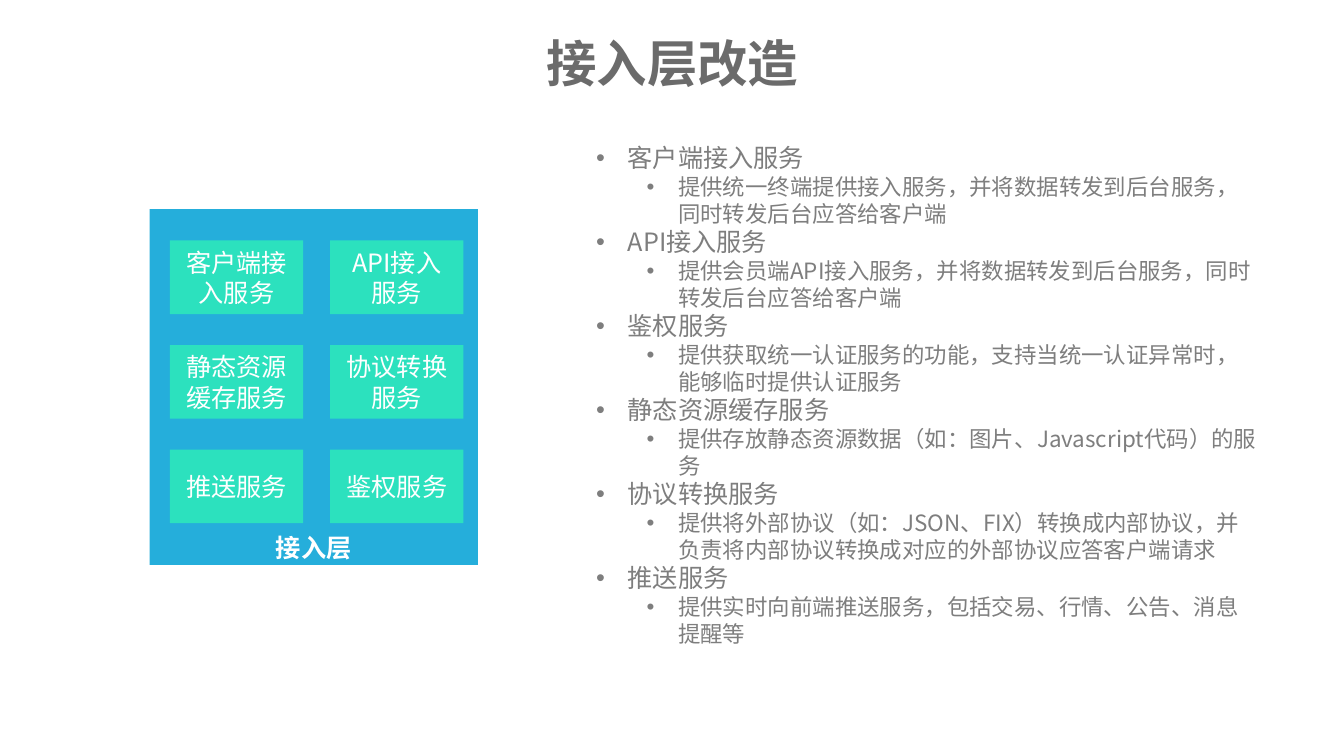
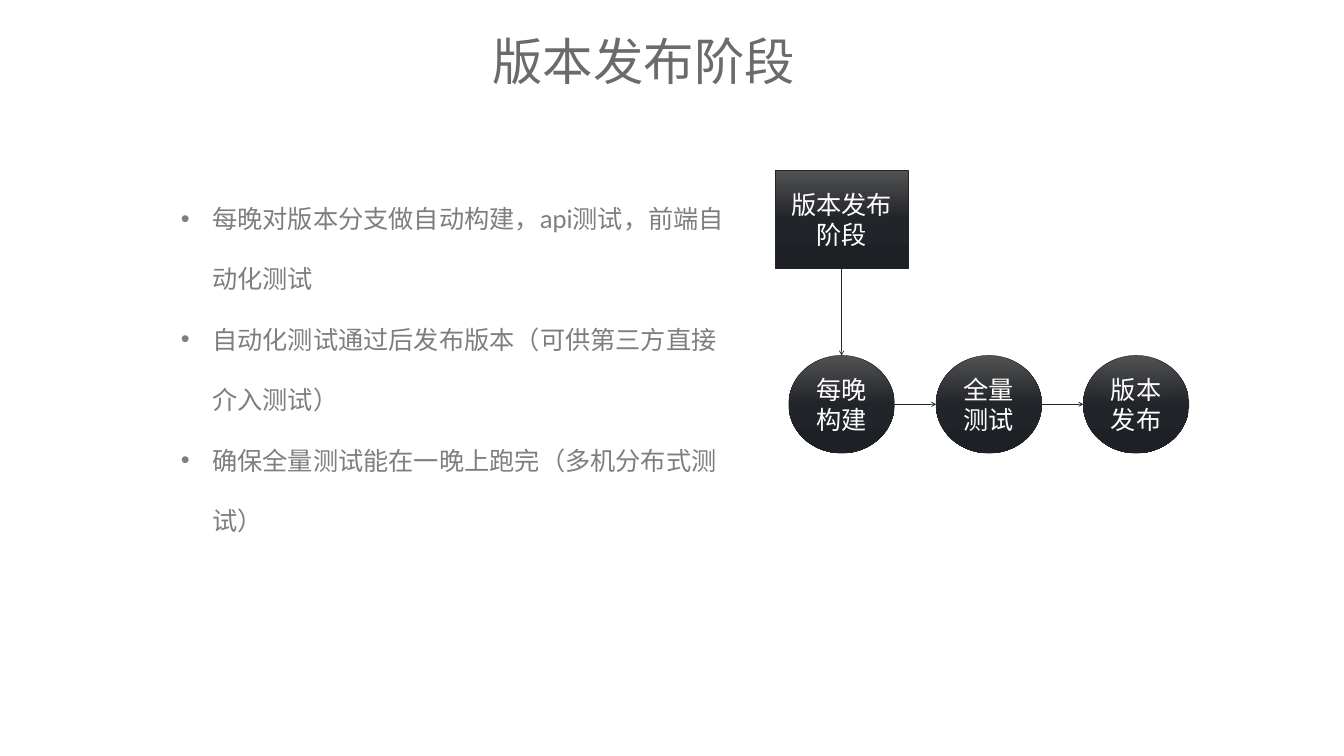
import dataclasses
import typing

import pptx
import pptx.dml.color
import pptx.enum.dml
import pptx.enum.shapes
import pptx.enum.text
import pptx.oxml.ns
import pptx.oxml.xmlchemy
import pptx.util

Cm = pptx.util.Cm
Pt = pptx.util.Pt
qn = pptx.oxml.ns.qn
new_element = pptx.oxml.xmlchemy.OxmlElement
ShapeType = pptx.enum.shapes.MSO_SHAPE
Anchor = pptx.enum.text.MSO_ANCHOR
Align = pptx.enum.text.PP_ALIGN

COLORS = {
    "title": "6B6B6B",
    "body": "7E7E7E",
    "white": "FFFFFF",
    "layer": "25AEDB",
    "service": "2CE1BE",
    "dark": "212428",
}
DARK_GRADIENT = ((0, "505152"), (50, "212428"), (100, "1D2024"))
HEADING_FONT = "Noto Sans CJK SC"
FLOW_FONT = "Lato"


@dataclasses.dataclass(frozen=True)
class Box:
    """A rectangle on the slide, in centimetres."""
    left: float
    top: float
    width: float
    height: float

    def lengths(self) -> tuple:
        return tuple(Cm(value) for value in dataclasses.astuple(self))


@dataclasses.dataclass(frozen=True)
class Line:
    """One paragraph of a bulleted list."""
    text: str
    level: int = 0
    size: int = 36


LAYER = Box(7.54, 10.54, 16.54, 17.93)
SERVICE = Box(8.56, 12.12, 6.71, 3.71)
SERVICE_PITCH = (8.08, 5.27)
SERVICES = (
    ("客户端接入服务", "API接入\n服务"),
    ("静态资源缓存服务", "协议转换服务"),
    ("推送服务", "鉴权服务"),
)
DESCRIPTIONS = (
    ("客户端接入服务", "提供统一终端提供接入服务，并将数据转发到后台服务，同时转发后台应答给客户端"),
    ("API接入服务", "提供会员端API接入服务，并将数据转发到后台服务，同时转发后台应答给客户端"),
    ("鉴权服务", "提供获取统一认证服务的功能，支持当统一认证异常时，能够临时提供认证服务"),
    ("静态资源缓存服务", "提供存放静态资源数据（如：图片、Javascript代码）的服务"),
    ("协议转换服务", "提供将外部协议（如：JSON、FIX）转换成内部协议，"
     "并负责将内部协议转换成对应的外部协议应答客户端请求"),
    ("推送服务", "提供实时向前端推送服务，包括交易、行情、公告、消息提醒等"),
)

STAGE = Box(39.04, 8.59, 6.73, 4.93)
STEP = Box(39.74, 17.91, 5.33, 4.93)
STEP_PITCH = 7.42
STEPS = ("每晚构建", "全量测试", "版本发布")
RELEASE_POINTS = (
    "每晚对版本分支做自动构建，api测试，前端自动化测试",
    "自动化测试通过后发布版本（可供第三方直接介入测试）",
    "确保全量测试能在一晚上跑完（多机分布式测试）",
)


def rgb(name: str) -> pptx.dml.color.RGBColor:
    return pptx.dml.color.RGBColor.from_string(COLORS[name])


def add_bullet(paragraph: typing.Any, level: int) -> None:
    """Give the paragraph a hanging bullet, indented by its level."""
    paragraph.level = level
    properties = paragraph._p.get_or_add_pPr()
    hanging = Cm(1.59)
    properties.set("marL", str(hanging + level * Cm(2.54)))
    properties.set("indent", str(-hanging))
    font = new_element("a:buFont")
    font.set("typeface", "Arial")
    bullet = new_element("a:buChar")
    bullet.set("char", "•")
    properties.extend((font, bullet))


def write(paragraph: typing.Any, text: str, *, size: int = 36, color: str = "white",
          font: str = HEADING_FONT, bold: bool = False,
          align: Align = Align.CENTER, line_spacing: typing.Optional[float] = None,
          bullet_level: typing.Optional[int] = None) -> None:
    paragraph.alignment = align
    if line_spacing:
        paragraph.line_spacing = line_spacing
    if bullet_level is not None:
        add_bullet(paragraph, bullet_level)
    run = paragraph.add_run()
    run.text = text
    run.font.size = Pt(size)
    run.font.bold = bold
    run.font.color.rgb = rgb(color)
    run.font.name = font
    east_asian = new_element("a:ea")
    east_asian.set("typeface", font)
    run.font._element.append(east_asian)


def paragraphs(frame: typing.Any, count: int) -> list:
    """Return the frame's first paragraph and as many new ones as needed."""
    return [frame.paragraphs[0]] + [frame.add_paragraph() for _ in range(count - 1)]


def add_title(slide: typing.Any, text: str, box: Box, bold: bool = False) -> None:
    frame = slide.shapes.add_textbox(*box.lengths()).text_frame
    frame.margin_left = frame.margin_right = frame.margin_top = frame.margin_bottom = 0
    frame.word_wrap = False
    frame.vertical_anchor = Anchor.MIDDLE
    write(frame.paragraphs[0], text, size=72, color="title", bold=bold)


def add_list(slide: typing.Any, box: Box, lines: typing.Sequence[Line],
             **text_format: typing.Any) -> None:
    frame = slide.shapes.add_textbox(*box.lengths()).text_frame
    frame.word_wrap = True
    for paragraph, line in zip(paragraphs(frame, len(lines)), lines):
        write(paragraph, line.text, size=line.size, color="body", align=Align.LEFT,
              bullet_level=line.level, **text_format)


def add_block(slide: typing.Any, kind: ShapeType, box: Box, text: str,
              anchor: Anchor = Anchor.MIDDLE, fill: typing.Optional[str] = None,
              **text_format: typing.Any) -> typing.Any:
    """Add a labelled shape; without a fill colour it gets the dark gradient."""
    shape = slide.shapes.add_shape(kind, *box.lengths())
    shape.shadow.inherit = False
    if fill:
        shape.fill.solid()
        shape.fill.fore_color.rgb = rgb(fill)
        shape.line.fill.background()
    else:
        fill_dark_gradient(shape)
        shape.line.color.rgb = rgb("dark")
        shape.line.width = Pt(0.5)
    frame = shape.text_frame
    frame.word_wrap = True
    frame.vertical_anchor = anchor
    lines = text.split("\n")
    for paragraph, line in zip(paragraphs(frame, len(lines)), lines):
        write(paragraph, line, **text_format)
    return shape


def fill_dark_gradient(shape: typing.Any) -> None:
    shape.fill.gradient()
    shape.fill.gradient_angle = 270
    stops = shape._element.spPr.find(".//" + qn("a:gsLst"))
    stops.clear()
    for position, color in DARK_GRADIENT:
        stop = new_element("a:gs")
        stop.set("pos", str(position * 1000))
        value = new_element("a:srgbClr")
        value.set("val", color)
        stop.append(value)
        stops.append(stop)


def add_arrow(slide: typing.Any, start: tuple, end: tuple) -> typing.Any:
    connector = slide.shapes.add_connector(
        pptx.enum.shapes.MSO_CONNECTOR.STRAIGHT,
        *(Cm(value) for value in start + end))
    connector.line.color.rgb = rgb("dark")
    connector.line.width = Pt(1)
    head = new_element("a:tailEnd")
    head.set("type", "arrow")
    connector.line._get_or_add_ln().append(head)
    connector._element.spPr.append(new_element("a:effectLst"))
    return connector


def build_access_layer(slide: typing.Any) -> None:
    add_title(slide, "接入层改造", Box(27.46, 1.6, 12.83, 3.07), bold=True)
    add_block(slide, ShapeType.RECTANGLE, LAYER, "接入层", Anchor.BOTTOM, "layer", bold=True)
    for row, names in enumerate(SERVICES):
        for column, name in enumerate(names):
            box = dataclasses.replace(
                SERVICE,
                left=SERVICE.left + column * SERVICE_PITCH[0],
                top=SERVICE.top + row * SERVICE_PITCH[1])
            add_block(slide, ShapeType.RECTANGLE, box, name, fill="service")
    lines = []
    for service, purpose in DESCRIPTIONS:
        lines += [Line(service), Line(purpose, level=1, size=32)]
    add_list(slide, Box(29.79, 7.06, 33.86, 31), lines)


def build_release_stage(slide: typing.Any) -> None:
    add_title(slide, "版本发布阶段", Box(24.74, 1.5, 15.39, 3.07))
    add_list(slide, Box(8.86, 8.59, 27.91, 18.47),
             [Line(point) for point in RELEASE_POINTS], font=FLOW_FONT, line_spacing=2.0)
    stage = add_block(slide, ShapeType.RECTANGLE, STAGE, "版本发布阶段", font=FLOW_FONT)
    boxes = [dataclasses.replace(STEP, left=STEP.left + index * STEP_PITCH)
             for index in range(len(STEPS))]
    circles = [add_block(slide, ShapeType.OVAL, box, name, font=FLOW_FONT)
               for box, name in zip(boxes, STEPS)]
    center = STAGE.left + STAGE.width / 2
    down = add_arrow(slide, (center, STAGE.top + STAGE.height), (center, STEP.top))
    down.begin_connect(stage, 2)
    down.end_connect(circles[0], 0)
    middle = STEP.top + STEP.height / 2
    for box, following in zip(boxes, boxes[1:]):
        add_arrow(slide, (box.left + box.width, middle), (following.left, middle))


def main() -> None:
    presentation = pptx.Presentation()
    presentation.slide_width = Cm(67.72)
    presentation.slide_height = Cm(38.1)
    for build in (build_access_layer, build_release_stage):
        build(presentation.slides.add_slide(presentation.slide_layouts[6]))
    presentation.save("out.pptx")


if __name__ == "__main__":
    main()
